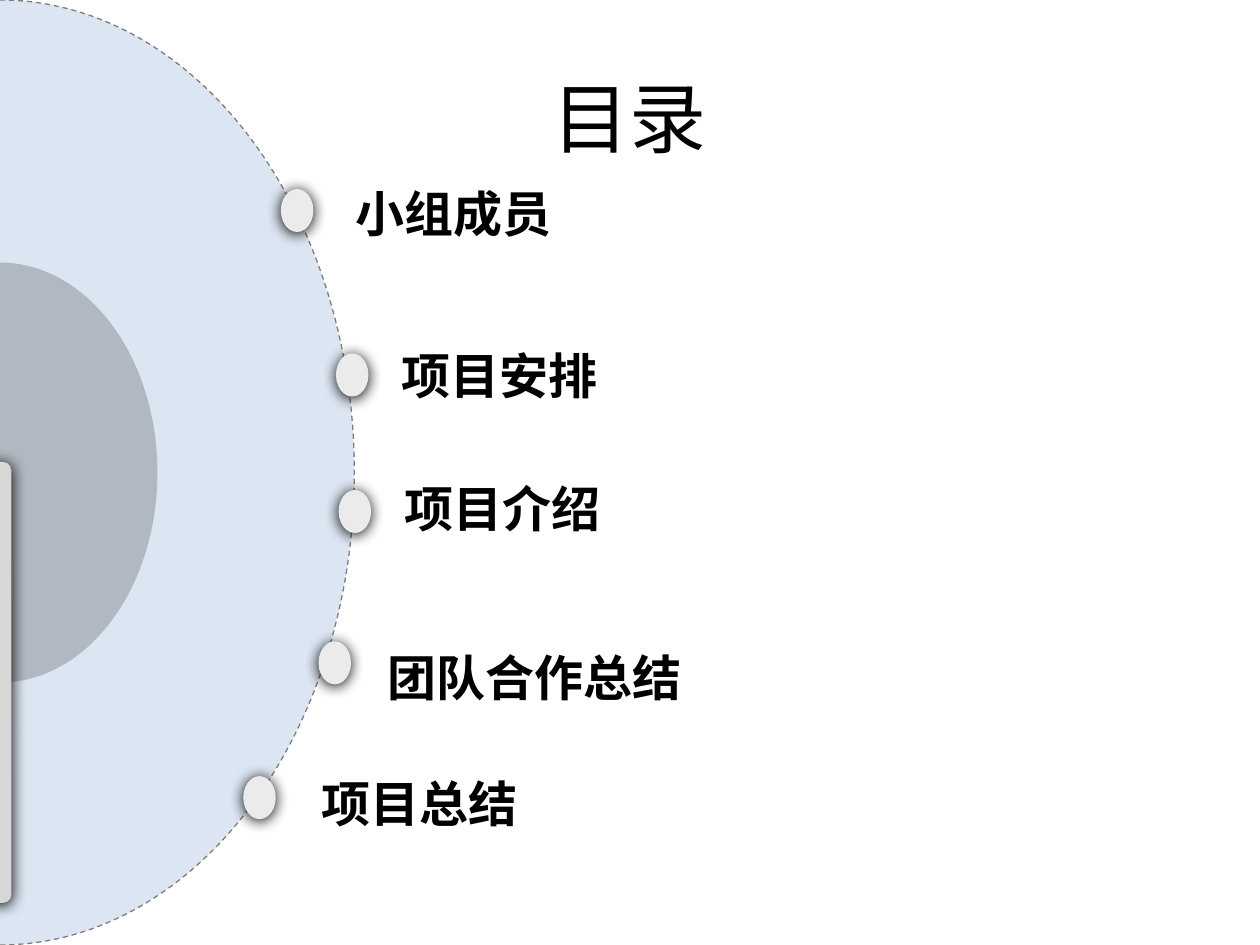
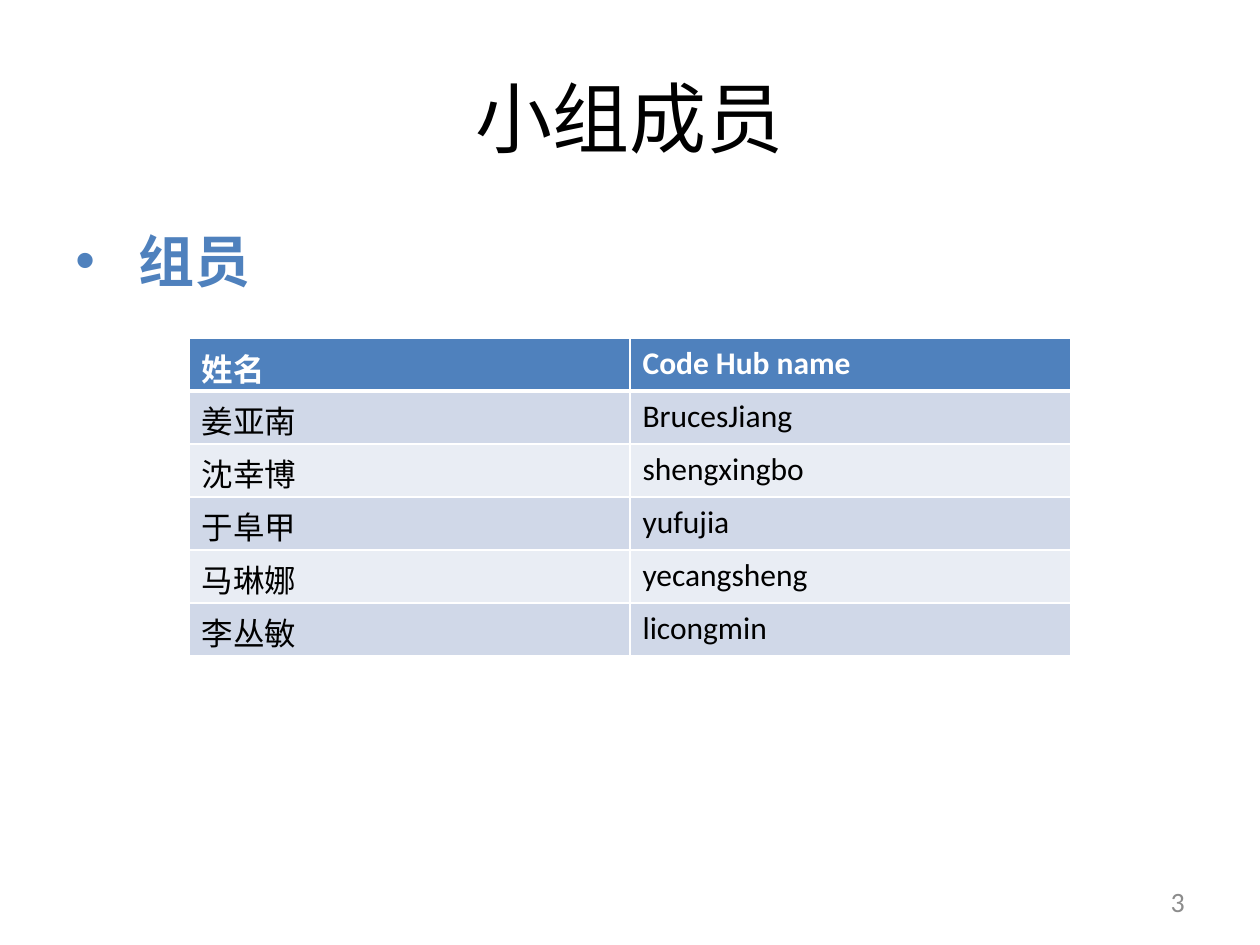
from lxml import etree
from pptx import Presentation
from pptx.dml.color import RGBColor
from pptx.enum import dml, shapes, text
from pptx.oxml import parse_xml
from pptx.oxml.ns import nsdecls, qn
from pptx.util import Pt

COLORS = {
    "ink": "000000", "white": "FFFFFF", "blue": "4F81BD", "disc": "DCE6F2",
    "dash": "7D7D7D", "dot": "EBEBEB", "bar": "D7D7D7", "number": "8C8C8C",
    "band_dark": "D0D8E8", "band_light": "E9EDF4",
}
FONT = "Calibri"
WIDTH, HEIGHT = 720, 540
SHAPES = shapes.MSO_SHAPE
ALIGN = text.PP_ALIGN
MIDDLE = text.MSO_ANCHOR.MIDDLE


def rgb(name):
    return RGBColor.from_string(COLORS[name])


class Deck:
    """Holds the shared style and the slide being built."""

    def __init__(self):
        self.prs = Presentation()
        self.prs.slide_width, self.prs.slide_height = Pt(WIDTH), Pt(HEIGHT)
        self.s = None

    def add_slide(self, title):
        self.s = self.prs.slides.add_slide(self.prs.slide_layouts[5])
        sp = self.s.shapes.title
        for name, value in dict(left=36, top=21.6, width=648, height=90).items():
            setattr(sp, name, Pt(value))
        sp.text_frame.vertical_anchor = MIDDLE
        self.fill_text(sp.text_frame, title, 44, align=ALIGN.CENTER)

    def fill_text(self, tf, words, size, color="ink", bold=False, align=ALIGN.LEFT):
        p = tf.paragraphs[0]
        p.alignment = align
        r = p.add_run()
        r.text = words
        for name, value in dict(name=FONT, size=Pt(size), bold=bold).items():
            setattr(r.font, name, value)
        r.font.color.rgb = rgb(color)
        return p

    def text(self, words, x, y, w, h, size, anchor=MIDDLE, **style):
        tf = self.s.shapes.add_textbox(Pt(x), Pt(y), Pt(w), Pt(h)).text_frame
        tf.word_wrap = True
        tf.vertical_anchor = anchor
        return self.fill_text(tf, words, size, **style)

    def bullet(self, words, x, y, w, h, size, color, indent=36):
        p = self.text(words, x, y, w, h, size, text.MSO_ANCHOR.TOP,
                      color=color, bold=True)
        ppr = p._p.get_or_add_pPr()
        ppr.set("marL", str(Pt(indent)))
        ppr.set("indent", str(-Pt(indent)))
        bu_color = etree.SubElement(ppr, qn("a:buClr"))
        etree.SubElement(bu_color, qn("a:srgbClr"), val=COLORS[color])
        etree.SubElement(ppr, qn("a:buFont"), typeface="Arial")
        etree.SubElement(ppr, qn("a:buChar"), char="•")

    def shape(self, kind, x, y, w, h, fill, adjustments=(), shadow=False):
        sp = self.s.shapes.add_shape(kind, Pt(x), Pt(y), Pt(w), Pt(h))
        for i, value in enumerate(adjustments):
            sp.adjustments[i] = value
        sp.fill.solid()
        sp.fill.fore_color.rgb = rgb(fill)
        sp.line.fill.background()
        sp.shadow.inherit = False
        if shadow:
            effects = sp._element.spPr.find(qn("a:effectLst"))
            effects.append(parse_xml(
                f'<a:outerShdw {nsdecls("a")} blurRad="{Pt(8.5)}" dist="{Pt(1)}" '
                f'dir="5400000" rotWithShape="0">'
                f'<a:srgbClr val="{COLORS["ink"]}"/></a:outerShdw>'))
        return sp

    def half_disc(self, rx, ry, fill):
        """Right half of an ellipse centred on the slide's left edge."""
        return self.shape(SHAPES.ARC, -rx, HEIGHT / 2 - ry, 2 * rx, 2 * ry, fill, (162, 54))

    def border(self, cell, side, width):
        ln = parse_xml(
            f'<a:ln{side} {nsdecls("a")} w="{Pt(width)}"><a:solidFill>'
            f'<a:srgbClr val="{COLORS["white"]}"/></a:solidFill></a:ln{side}>')
        cell._tc.get_or_add_tcPr().append(ln)

    def table(self, rows, x, y, w, row_height):
        tbl = self.s.shapes.add_table(len(rows), len(rows[0]), Pt(x), Pt(y),
                                      Pt(w), Pt(row_height * len(rows))).table
        for i, row in enumerate(rows):
            head = i == 0
            fill = "blue" if head else "band_dark" if i % 2 else "band_light"
            for j, words in enumerate(row):
                cell = tbl.cell(i, j)
                for side in "LRTB":
                    thick = (side == "B" and head) or (side == "T" and i == 1)
                    self.border(cell, side, 3 if thick else 1)
                cell.fill.solid()
                cell.fill.fore_color.rgb = rgb(fill)
                self.fill_text(cell.text_frame, words, 18,
                               "white" if head else "ink", head)

    def page_number(self, number):
        self.text(str(number), 516, 500.5, 168, 28.75, 16,
                  color="number", align=ALIGN.RIGHT)


def build_contents(deck):
    deck.add_slide("目录")
    outer = deck.half_disc(202.5, 270, "disc")
    outer.line.color.rgb = rgb("dash")
    outer.line.width = Pt(0.75)
    outer.line.dash_style = dml.MSO_LINE.DASH
    inner = deck.half_disc(90, 120, "ink")
    solid = inner._element.spPr.find(qn("a:solidFill"))
    etree.SubElement(solid[0], qn("a:alpha"), val="20000")
    deck.shape(SHAPES.ROUNDED_RECTANGLE, -7.2, 264, 13.7, 252, "bar", (0.35,), shadow=True)

    # Each topic: words, dot left and top, label left and top
    topics = [
        ("小组成员", 160.5, 108, 196, 101),
        ("项目安排", 192, 202, 222.5, 194),
        ("项目介绍", 193.5, 280, 224, 270),
        ("团队合作总结", 182, 366.5, 214.5, 366.5),
        ("项目总结", 139, 443.5, 176.5, 438.5),
    ]
    for words, dot_x, dot_y, label_x, label_y in topics:
        deck.shape(SHAPES.OVAL, dot_x, dot_y, 18.6, 24.6, "dot", shadow=True)
        deck.text(words, label_x, label_y, 432, 41, 28, bold=True)


def build_members(deck):
    deck.add_slide("小组成员")
    deck.bullet("组员", 36, 126, 648, 356.4, 32, "blue")
    members = [
        ("姓名", "Code Hub name"),
        ("姜亚南", "BrucesJiang"),
        ("沈幸博", "shengxingbo"),
        ("于阜甲", "yufujia"),
        ("马琳娜", "yecangsheng"),
        ("李丛敏", "licongmin"),
    ]
    deck.table(members, 108, 193.25, 504, 30.25)
    deck.page_number(3)


def main():
    deck = Deck()
    build_contents(deck)
    build_members(deck)
    deck.prs.save("out.pptx")


if __name__ == "__main__":
    main()
